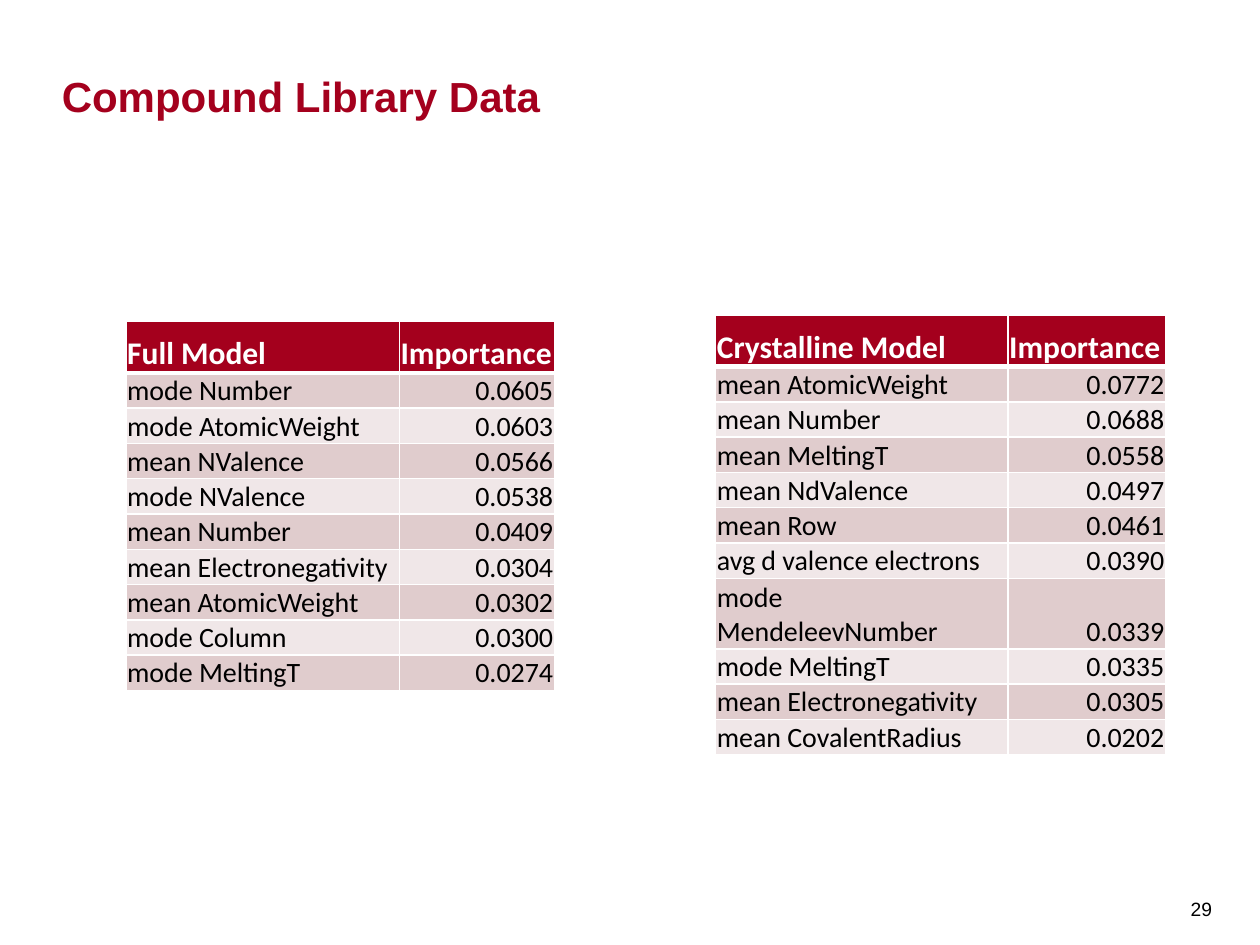
from lxml import etree
from pptx import Presentation
from pptx.dml.color import RGBColor
from pptx.enum.text import MSO_ANCHOR, PP_ALIGN
from pptx.oxml.ns import qn
from pptx.util import Inches, Pt

RED = RGBColor(0xA4, 0x00, 0x1D)
ROSE = RGBColor(0xE0, 0xCC, 0xCD)
PALE = RGBColor(0xF0, 0xE7, 0xE8)
WHITE = RGBColor(0xFF, 0xFF, 0xFF)
BLACK = RGBColor(0, 0, 0)

TITLE = "Compound Library Data"
PAGE = "29"
TABLES = [
    {
        "at": (5.68, 2.5), "cols": (2.32, 1.25), "name": "Crystalline Model",
        "rows": [
            ("mean AtomicWeight", "0.0772"),
            ("mean Number", "0.0688"),
            ("mean MeltingT", "0.0558"),
            ("mean NdValence", "0.0497"),
            ("mean Row", "0.0461"),
            ("avg d valence electrons", "0.0390"),
            ("mode MendeleevNumber", "0.0339"),
            ("mode MeltingT", "0.0335"),
            ("mean Electronegativity", "0.0305"),
            ("mean CovalentRadius", "0.0202"),
        ],
    },
    {
        "at": (1, 2.55), "cols": (2.17, 1.23), "name": "Full Model",
        "rows": [
            ("mode Number", "0.0605"),
            ("mode AtomicWeight", "0.0603"),
            ("mean NValence", "0.0566"),
            ("mode NValence", "0.0538"),
            ("mean Number", "0.0409"),
            ("mean Electronegativity", "0.0304"),
            ("mean AtomicWeight", "0.0302"),
            ("mode Column", "0.0300"),
            ("mode MeltingT", "0.0274"),
        ],
    },
]
HEAD_H, ROW_H = 0.41, 0.28
TWO_LINE_ROWS = {"mode MendeleevNumber"}

HEAD_FONT = {"name": "Calibri", "size": Pt(18), "bold": True}
BODY_FONT = {"name": "Calibri", "size": Pt(16), "bold": False}
TITLE_FONT = {"name": "Arial", "size": Pt(24), "bold": True}
PAGE_FONT = {"name": "Arial", "size": Pt(11)}
CELL_FORMAT = {
    "margin_left": Inches(0.01), "margin_right": Inches(0.01),
    "margin_top": Inches(0.01), "margin_bottom": 0,
    "vertical_anchor": MSO_ANCHOR.BOTTOM,
}
TITLE_FRAME = {
    "margin_left": 0, "margin_right": 0, "margin_top": 0, "margin_bottom": 0,
    "vertical_anchor": MSO_ANCHOR.BOTTOM, "word_wrap": True,
}
PAGE_FRAME = {
    "margin_left": Inches(0.08), "margin_right": Inches(0.08),
    "margin_top": Inches(0.06), "margin_bottom": Inches(0.05),
    "vertical_anchor": MSO_ANCHOR.MIDDLE, "word_wrap": True,
}


def apply(obj, values):
    for key, value in values.items():
        setattr(obj, key, value)


def write(tf, text, font, color, align=PP_ALIGN.LEFT):
    p = tf.paragraphs[0]
    p.alignment = align
    r = p.add_run()
    r.text = text
    apply(r.font, font)
    r.font.color.rgb = color


def add_borders(cell, widths):
    """Draw white cell borders; widths maps side letters to points."""
    tc_pr = cell._tc.get_or_add_tcPr()
    for side, width in widths.items():
        ln = etree.SubElement(tc_pr, qn(f"a:ln{side}"), w=str(Pt(width)))
        fill = etree.SubElement(ln, qn("a:solidFill"))
        etree.SubElement(fill, qn("a:srgbClr"), val=str(WHITE))


def add_importance_table(s, data):
    rows = [(data["name"], "Importance")] + data["rows"]
    heights = [HEAD_H] + [ROW_H * (2 if name in TWO_LINE_ROWS else 1)
                          for name, _ in data["rows"]]
    box = (*data["at"], sum(data["cols"]), sum(heights))
    table = s.shapes.add_table(len(rows), 2, *map(Inches, box)).table
    for col, width in zip(table.columns, data["cols"]):
        col.width = Inches(width)
    for i, (row, height) in enumerate(zip(rows, heights)):
        table.rows[i].height = Inches(height)
        head = i == 0
        for j, text in enumerate(row):
            cell = table.cell(i, j)
            apply(cell, CELL_FORMAT)
            add_borders(cell, {"L": 1, "R": 1, "T": 3 if i == 1 else 1,
                               "B": 3 if head else 1})
            cell.fill.solid()
            cell.fill.fore_color.rgb = RED if head else (PALE, ROSE)[i % 2]
            write(cell.text_frame, text, HEAD_FONT if head else BODY_FONT,
                  WHITE if head else BLACK,
                  PP_ALIGN.RIGHT if j and not head else PP_ALIGN.LEFT)


def main():
    prs = Presentation()
    prs.slide_width, prs.slide_height = Inches(10), Inches(7.5)
    s = prs.slides.add_slide(prs.slide_layouts[5])

    title = s.shapes.title
    apply(title, {"left": Inches(0.49), "top": Inches(0.14),
                  "width": Inches(8.86), "height": Inches(0.82)})
    apply(title.text_frame, TITLE_FRAME)
    write(title.text_frame, TITLE, TITLE_FONT, RED)

    page = s.shapes.add_textbox(*map(Inches, (9.37, 6.91, 0.35, 0.59)))
    apply(page.text_frame, PAGE_FRAME)
    write(page.text_frame, PAGE, PAGE_FONT, BLACK)

    for data in TABLES:
        add_importance_table(s, data)
    prs.save("out.pptx")


if __name__ == "__main__":
    main()
